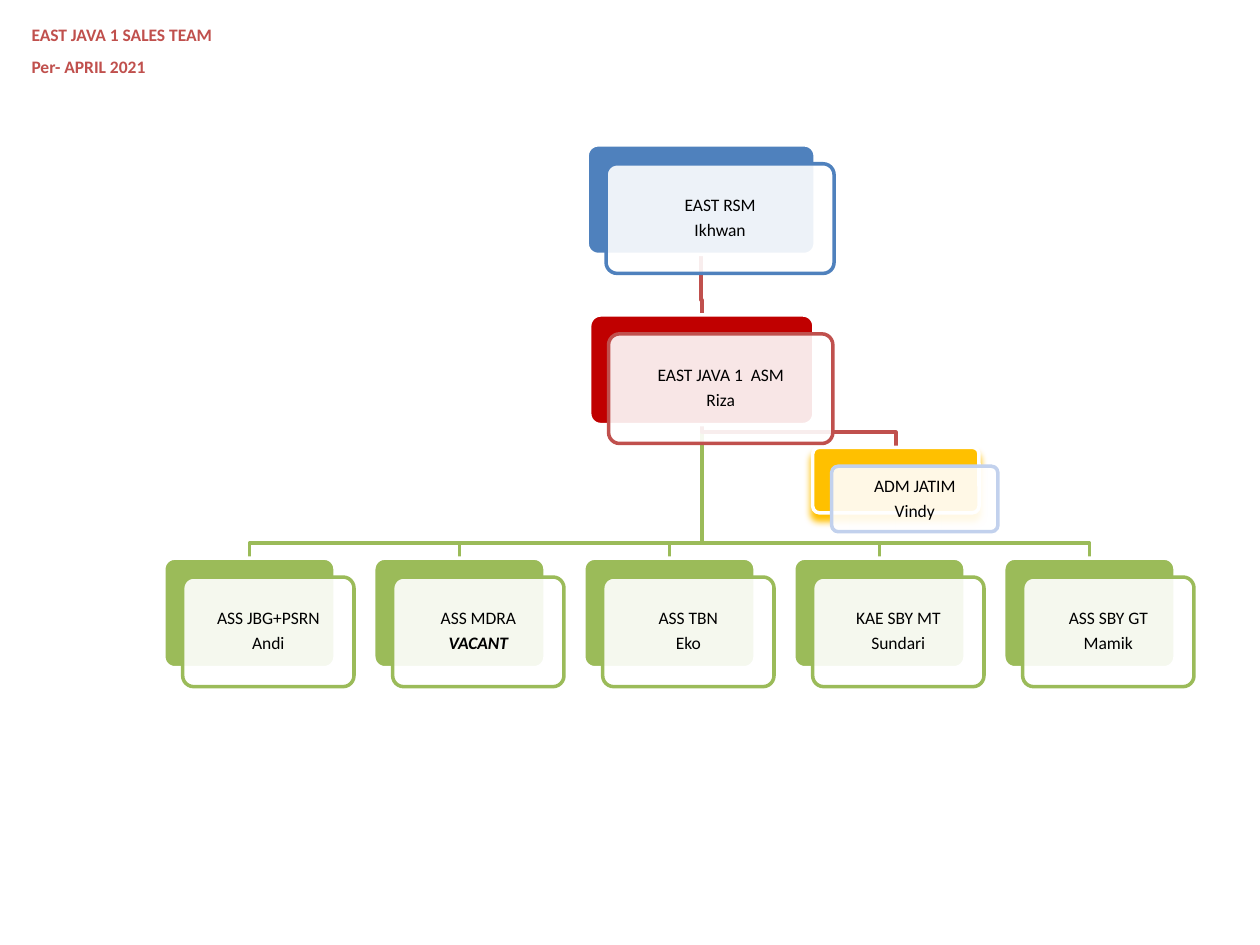
from dataclasses import dataclass
from typing import Optional

from lxml.etree import SubElement
from pptx import Presentation
from pptx.dml.color import RGBColor
from pptx.enum.shapes import MSO_SHAPE as Preset
from pptx.enum.text import MSO_ANCHOR as Anchor, PP_ALIGN as Align
from pptx.oxml.ns import qn
from pptx.util import Inches, Pt

WIDTH, HEIGHT = 10, 7.5
COLUMN = WIDTH / 6          # pitch of the bottom row
OFFSET = 0.15               # shift of the front card from the back card
DROP = 0.12                 # last stretch of a link above its box
BLUE, RED, DARK_RED, GREEN = "4F81BD", "C0504D", "C00000", "9BBB59"
YELLOW, PALE_BLUE, WHITE, BLACK = "FFC000", "C2D1ED", "FFFFFF", "000000"


@dataclass
class Post:
    role: str
    person: str
    left: float
    top: float
    width: float
    height: float
    fill: str
    edge: str
    parent: Optional["Post"] = None
    link: str = GREEN
    vacant: bool = False
    glow: bool = False

    @property
    def middle(self) -> float:
        return self.left + self.width / 2


def color(value: str) -> RGBColor:
    return RGBColor.from_string(value)


def format_span(span, **values) -> None:
    span.font.color.rgb = color(values.pop("color"))
    for name, value in {"name": "Calibri", "size": Pt(10), **values}.items():
        setattr(span.font, name, value)


def add_link(page, post: Post) -> None:
    boss, bar = post.parent, post.top - DROP
    start = (boss.middle, boss.top + boss.height)
    turns = [(boss.middle, bar), (post.middle, bar), (post.middle, post.top)]
    builder = page.shapes.build_freeform(Inches(start[0]), Inches(start[1]))
    builder.add_line_segments([(Inches(x), Inches(y)) for x, y in turns], close=False)
    line = builder.convert_to_shape()
    line.shadow.inherit = False
    line.fill.background()
    line.line.color.rgb = color(post.link)
    line.line.width = Pt(2)


def add_box(page, post: Post, shift: float, fill: str, edge: str):
    lengths = (post.left + shift, post.top + shift, post.width, post.height)
    box = page.shapes.add_shape(Preset.ROUNDED_RECTANGLE, *map(Inches, lengths))
    box.adjustments[0] = 0.1
    box.shadow.inherit = False
    box.fill.solid()
    box.fill.fore_color.rgb = color(fill)
    box.line.color.rgb = color(edge)
    box.line.width = Pt(2)
    return box


def add_glow(box, shade: str) -> None:
    effects = box._element.spPr.find(qn("a:effectLst"))
    shadow = SubElement(effects, qn("a:outerShdw"), blurRad=str(Pt(4)),
                        dist=str(Pt(4)), dir="5400000", rotWithShape="0")
    SubElement(shadow, qn("a:srgbClr"), val=shade)


def add_post(page, post: Post) -> None:
    back = add_box(page, post, 0, post.fill, WHITE)
    if post.glow:
        add_glow(back, post.fill)

    # Translucent front card with the text
    card = add_box(page, post, OFFSET, WHITE, post.edge)
    tint = card._element.spPr.find(qn("a:solidFill")).find(qn("a:srgbClr"))
    SubElement(tint, qn("a:alpha"), val="90000")
    frame = card.text_frame
    frame.word_wrap = True
    frame.vertical_anchor = Anchor.MIDDLE
    for side in ("left", "right", "top", "bottom"):
        setattr(frame, f"margin_{side}", Inches(0.04))
    frame.text = f"{post.role}\n{post.person}"
    for para in frame.paragraphs:
        para.alignment = Align.CENTER
        para.line_spacing = 0.9
        para.space_after = Pt(3.5)
        format_span(para.runs[0], color=BLACK)
    if post.vacant:
        format_span(frame.paragraphs[1].runs[0], color=BLACK, bold=True, italic=True)


def add_heading(page, lines: list[str]) -> None:
    page.shapes.title._element.getparent().remove(page.shapes.title._element)
    body = page.placeholders[1]
    body.left, body.top, body.width, body.height = map(Inches, (0.15, 0.14, 9.63, 1.05))
    body.text_frame.text = "\n".join(lines)
    for para in body.text_frame.paragraphs:
        para.space_before = Pt(6)
        properties = para._p.get_or_add_pPr()
        properties.set("marL", "0")
        properties.set("indent", "0")
        SubElement(properties, qn("a:buNone"))
        format_span(para.runs[0], color=RED, bold=True)


# Organisation
manager = Post("EAST RSM", "Ikhwan", 4.66, 1.15, 1.81, 0.87, BLUE, BLUE)
area = Post("EAST JAVA 1  ASM", "Riza", 4.68, 2.5, 1.78, 0.87, DARK_RED, RED,
            manager, RED)
admin = Post("ADM JATIM", "Vindy", 6.45, 3.55, 1.32, 0.52, YELLOW, PALE_BLUE,
             area, RED, glow=True)
team = [("ASS JBG+PSRN", "Andi"), ("ASS MDRA", "VACANT"), ("ASS TBN", "Eko"),
        ("KAE SBY MT", "Sundari"), ("ASS SBY GT", "Mamik")]
staff = [Post(role, person, 1.3 + index * COLUMN, 4.43, 1.36, 0.87, GREEN, GREEN,
              area, vacant=person == "VACANT")
         for index, (role, person) in enumerate(team)]

# Slide
deck = Presentation()
deck.slide_width, deck.slide_height = Inches(WIDTH), Inches(HEIGHT)
page = deck.slides.add_slide(deck.slide_layouts[1])
add_heading(page, ["EAST JAVA 1 SALES TEAM", "Per- APRIL 2021"])

# Links lie behind the boxes
for post in [*staff, area, admin]:
    add_link(page, post)
for post in [manager, admin, area, *reversed(staff)]:
    add_post(page, post)

deck.save("out.pptx")
